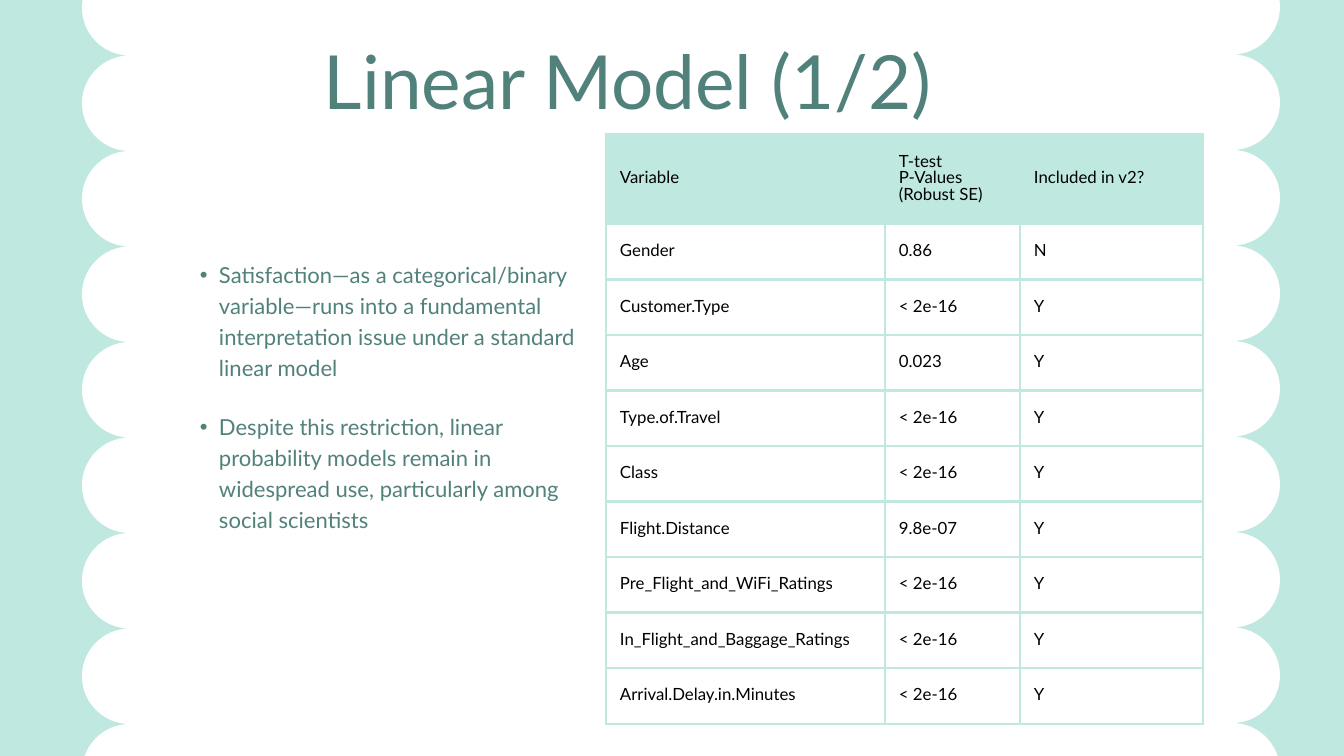
import pptx
import pptx.dml.color
import pptx.enum.text
import pptx.oxml
import pptx.oxml.ns
import pptx.util

TITLE = "Linear Model (1/2)"
POINTS = [
    "Satisfaction—as a categorical/binary variable—runs into a fundamental "
    "interpretation issue under a standard linear model",
    "Despite this restriction, linear probability models remain in "
    "widespread use, particularly among social scientists",
]
HEADER = ("Variable", "T-test\nP-Values\n(Robust SE)", "Included in v2?")
VARIABLES = [
    ("Gender", "0.86", "N"),
    ("Customer.Type", "< 2e-16", "Y"),
    ("Age", "0.023", "Y"),
    ("Type.of.Travel", "< 2e-16", "Y"),
    ("Class", "< 2e-16", "Y"),
    ("Flight.Distance", "9.8e-07", "Y"),
    ("Pre_Flight_and_WiFi_Ratings", "< 2e-16", "Y"),
    ("In_Flight_and_Baggage_Ratings", "< 2e-16", "Y"),
    ("Arrival.Delay.in.Minutes", "< 2e-16", "Y"),
]
COLORS = {"mint": "BFE9E0", "teal": "51817B", "white": "FFFFFF", "black": "000000"}
FONT = "Lato"

WIDTH, HEIGHT = 1344, 756
TITLE_BOX = (236, 20, 784, 101)
POINTS_BOX = (181, 257, 395, 273)
TABLE_BOX = (606, 134, 597, 590)
COLUMN_WIDTHS = (279, 135, 183)
HEADER_HEIGHT = 90
CELL_INSET = 14
BULLET_INDENT = 19
SCALLOP_LEFT, SCALLOP_RIGHT = 82, 1280
SCALLOP_PITCH = 95.5
SCALLOP_COUNT = 9
FIRST_CUSP = {"left": -40, "right": -41}
QUARTER_CIRCLE = 0.55


def px(length):
    return pptx.util.Emu(round(length * 914400 / 67.2))


def rgb(name):
    return pptx.dml.color.RGBColor.from_string(COLORS[name])


def style(paragraph, size, color, align, line_spacing):
    paragraph.alignment = align
    paragraph.line_spacing = pptx.util.Pt(line_spacing)
    paragraph.space_before = pptx.util.Pt(0)
    for run in paragraph.runs:
        run.font.name = FONT
        run.font.size = pptx.util.Pt(size)
        run.font.color.rgb = rgb(color)


def place(placeholder, box):
    """Move a placeholder and make its text fill the box from the top."""
    placeholder.left, placeholder.top, placeholder.width, placeholder.height = map(px, box)
    frame = placeholder.text_frame
    frame.word_wrap = True
    frame.auto_size = pptx.enum.text.MSO_AUTO_SIZE.NONE
    frame.vertical_anchor = pptx.enum.text.MSO_ANCHOR.TOP
    frame.margin_left = frame.margin_top = frame.margin_right = frame.margin_bottom = 0
    return frame


def scallops(edge, inward, first_cusp):
    """Cusps and crests down one side, in turn, starting and ending at a cusp."""
    radius = SCALLOP_PITCH / 2
    return [(px(edge if stop % 2 else edge + inward * radius),
             px(first_cusp + stop * radius))
            for stop in range(2 * SCALLOP_COUNT + 1)]


def quarter_arc(start, end, from_cusp):
    """Bezier points of a quarter circle, level at the cusp and upright at the crest."""
    (x0, y0), (x1, y1) = start, end
    dx, dy = QUARTER_CIRCLE * (x1 - x0), QUARTER_CIRCLE * (y1 - y0)
    if from_cusp:
        return (x0 + dx, y0), (x1, y1 - dy), end
    return (x0, y0 + dy), (x1 - dx, y1), end


def add_panel(slide):
    left_side = scallops(SCALLOP_LEFT, 1, FIRST_CUSP["left"])
    right_side = scallops(SCALLOP_RIGHT, -1, FIRST_CUSP["right"])
    outline = left_side + right_side[::-1]
    builder = slide.shapes.build_freeform(*outline[0], scale=1.0)
    builder.add_line_segments(outline[1:], close=True)
    panel = builder.convert_to_shape()
    lines = panel._element.findall(".//" + pptx.oxml.ns.qn("a:lnTo"))
    crests = (px(SCALLOP_LEFT), px(SCALLOP_RIGHT))
    for line, start, end in zip(lines, outline, outline[1:]):
        if start[0] not in crests and end[0] not in crests:
            continue
        controls = "".join(
            f'<a:pt x="{round(x - panel.left)}" y="{round(y - panel.top)}"/>'
            for x, y in quarter_arc(start, end, start[0] not in crests))
        line.getparent().replace(line, pptx.oxml.parse_xml(
            f'<a:cubicBezTo {pptx.oxml.ns.nsdecls("a")}>{controls}</a:cubicBezTo>'))
    panel.shadow.inherit = False
    panel.fill.solid()
    panel.fill.fore_color.rgb = rgb("white")
    panel.line.fill.background()
    # The panel lies behind the placeholders.
    slide.shapes._spTree.insert(2, panel._element)


def add_title(slide):
    frame = place(slide.shapes.title, TITLE_BOX)
    frame.text = TITLE
    style(frame.paragraphs[0], 80, "teal", pptx.enum.text.PP_ALIGN.CENTER, 112)


def add_points(slide):
    frame = place(slide.placeholders[1], POINTS_BOX)
    frame.text = "\n".join(POINTS)
    for number, paragraph in enumerate(frame.paragraphs):
        style(paragraph, 23.6, "teal", pptx.enum.text.PP_ALIGN.LEFT, 33.1)
        if number:
            paragraph.space_before = pptx.util.Pt(30.5)
        properties = paragraph._p.get_or_add_pPr()
        properties.set("marL", str(px(2 * BULLET_INDENT)))
        properties.set("indent", str(-px(BULLET_INDENT)))
        properties.append(pptx.oxml.parse_xml(
            f'<a:buChar {pptx.oxml.ns.nsdecls("a")} char="•"/>'))


def add_borders(cell):
    properties = cell._tc.get_or_add_tcPr()
    for position, side in enumerate(("lnL", "lnR", "lnT", "lnB")):
        properties.insert(position, pptx.oxml.parse_xml(
            f'<a:{side} {pptx.oxml.ns.nsdecls("a")} w="{pptx.util.Pt(3)}">'
            f'<a:solidFill><a:srgbClr val="{COLORS["mint"]}"/></a:solidFill></a:{side}>'))


def add_variable_table(slide):
    rows = [HEADER] + VARIABLES
    table = slide.shapes.add_table(len(rows), len(HEADER), *map(px, TABLE_BOX)).table
    table.horz_banding = False
    for column, width in zip(table.columns, COLUMN_WIDTHS):
        column.width = px(width)
    row_height = (TABLE_BOX[3] - HEADER_HEIGHT) / len(VARIABLES)
    for r, values in enumerate(rows):
        table.rows[r].height = px(row_height if r else HEADER_HEIGHT)
        for c, value in enumerate(values):
            cell = table.cell(r, c)
            cell.text = value
            cell.vertical_anchor = pptx.enum.text.MSO_ANCHOR.MIDDLE
            cell.margin_left = cell.margin_right = px(CELL_INSET)
            cell.margin_top = cell.margin_bottom = px(CELL_INSET)
            for paragraph in cell.text_frame.paragraphs:
                style(paragraph, 18, "black", pptx.enum.text.PP_ALIGN.JUSTIFY, 18)
                for run in paragraph.runs:
                    run.font.bold = False
            if r:
                cell.fill.background()
            else:
                cell.fill.solid()
                cell.fill.fore_color.rgb = rgb("mint")
            add_borders(cell)


def main():
    deck = pptx.Presentation()
    deck.slide_width, deck.slide_height = px(WIDTH), px(HEIGHT)
    slide = deck.slides.add_slide(deck.slide_layouts[1])
    slide.background.fill.solid()
    slide.background.fill.fore_color.rgb = rgb("mint")
    add_panel(slide)
    add_title(slide)
    add_points(slide)
    add_variable_table(slide)
    deck.save("out.pptx")


if __name__ == "__main__":
    main()
